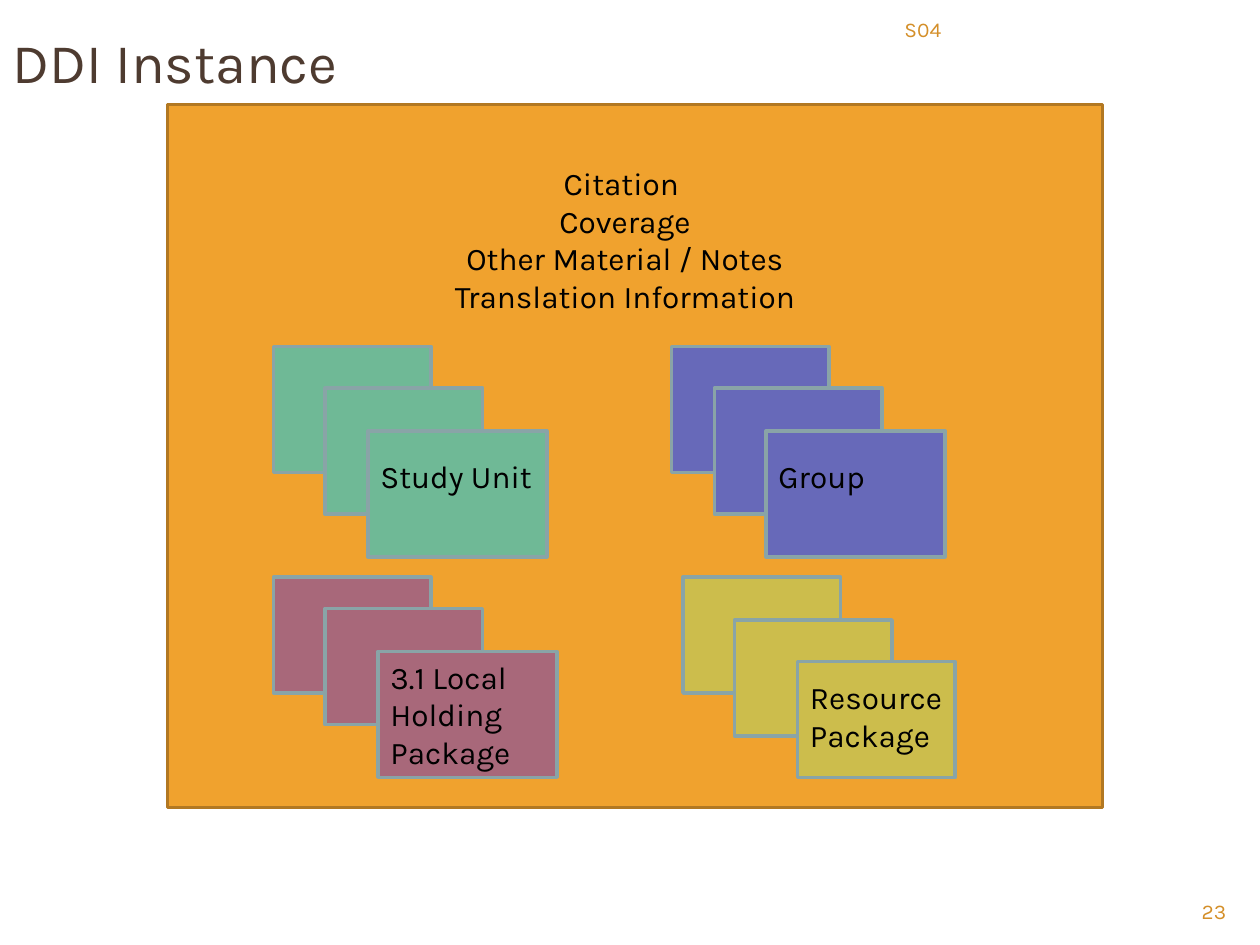
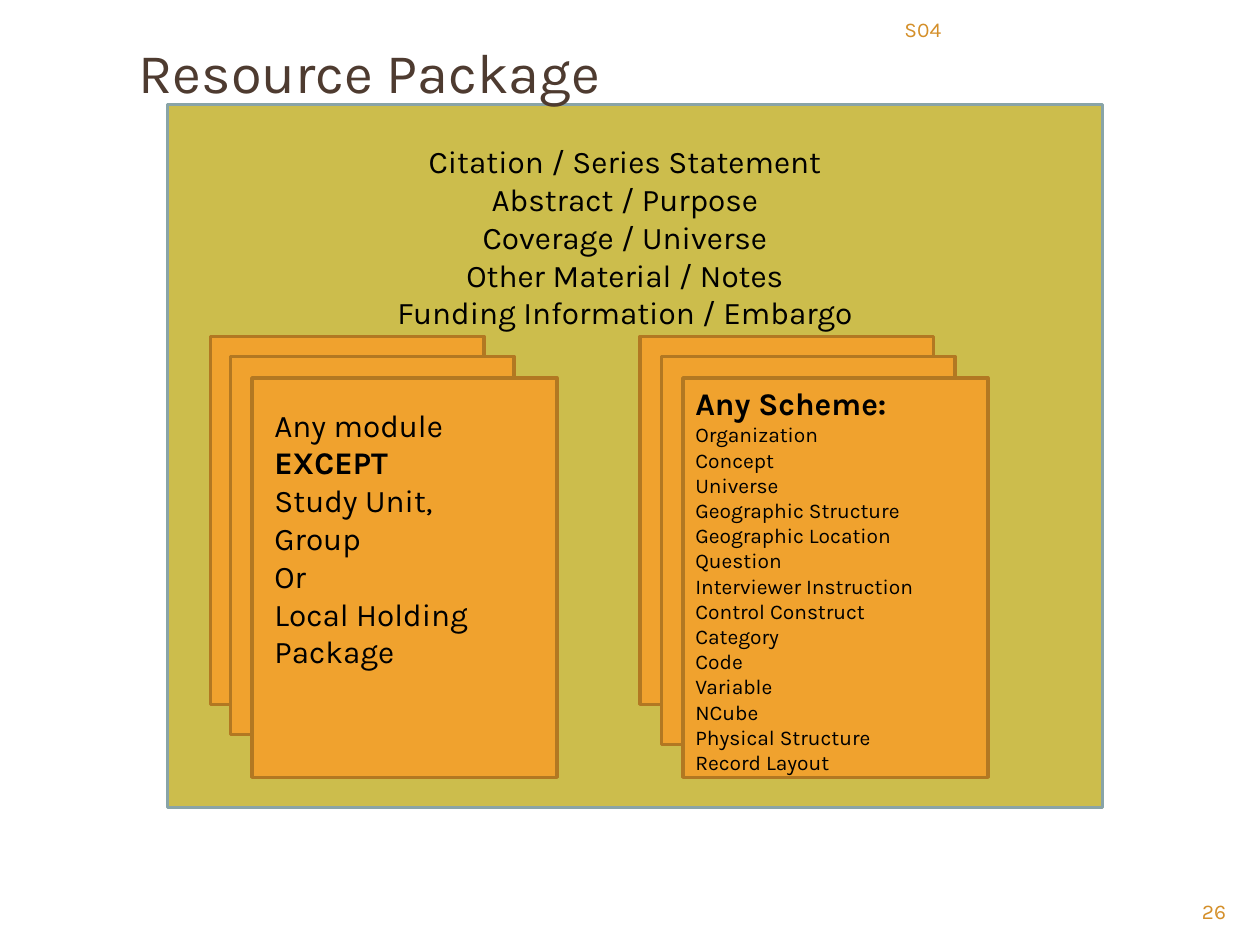
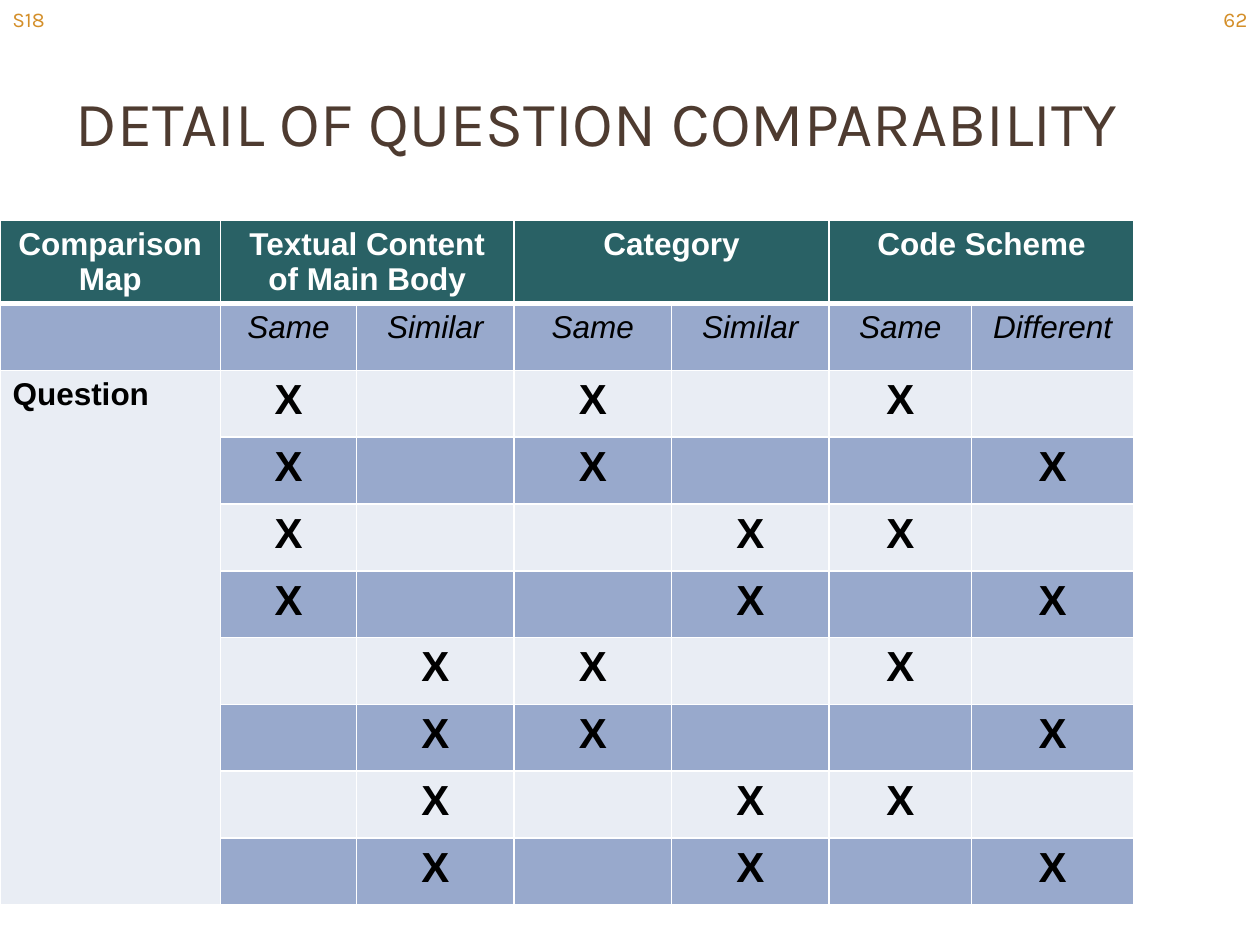
from itertools import product

from lxml import etree
from pptx import Presentation
from pptx import util as u
from pptx.dml.color import RGBColor
from pptx.enum import shapes, text
from pptx.oxml import ns

ORANGE, ORANGE_EDGE = "F0A22E", "B27822"
GREEN, BLUE, ROSE, OLIVE = "6FB996", "6769B9", "A8687A", "CCBD4C"
CARD_EDGE = "89A4A7"
BROWN, LABEL, BLACK, WHITE = "4E3B30", "D48F29", "000000", "FFFFFF"
TEAL, BAND_DARK, BAND_LIGHT = "296165", "98A9CC", "E9EDF4"
LEFT, CENTER, RIGHT = text.PP_ALIGN.LEFT, text.PP_ALIGN.CENTER, text.PP_ALIGN.RIGHT
TITLE_ONLY = 5
PANEL = (1.33, 0.83, 7.42, 5.58)


def rgb(value):
    return RGBColor.from_string(value)


def inches(values):
    return [u.Inches(value) for value in values]


def border_cell(cell, widths):
    """Draw white borders; widths are points for left, right, top, bottom."""
    props = cell._tc.get_or_add_tcPr()
    for side, width in zip("LRTB", widths):
        line = etree.SubElement(props, ns.qn(f"a:ln{side}"), w=str(u.Pt(width)))
        fill = etree.SubElement(line, ns.qn("a:solidFill"))
        etree.SubElement(fill, ns.qn("a:srgbClr"), val=WHITE)


class SlideBuilder:
    font = "Karla"

    def __init__(self):
        self.deck = Presentation()
        self.deck.slide_width, self.deck.slide_height = inches((10, 7.5))
        self.page = None

    def new_page(self):
        self.page = self.deck.slides.add_slide(self.deck.slide_layouts[TITLE_ONLY])

    def style(self, para, size, color, align=LEFT, bold=False, italic=False, font=None):
        para.alignment = align
        for span in para.runs:
            span.font.name = font or self.font
            span.font.size = u.Pt(size)
            span.font.bold, span.font.italic = bold, italic
            span.font.color.rgb = rgb(color)

    def title(self, words, at, size=32, anchor=text.MSO_ANCHOR.TOP):
        """Fill the title and bring it in front of what is already drawn."""
        box = self.page.shapes.title
        box.left, box.top, box.width, box.height = inches(at)
        frame = box.text_frame
        frame.text = words
        frame.auto_size = text.MSO_AUTO_SIZE.NONE
        frame.vertical_anchor = anchor
        self.style(frame.paragraphs[0], size, BROWN)
        box.element.getparent().append(box.element)

    def text(self, lines, at, size=18, color=BLACK, align=LEFT):
        box = self.page.shapes.add_textbox(*inches(at))
        frame = box.text_frame
        frame.word_wrap = True
        frame.text = "\n".join(lines)
        for para in frame.paragraphs:
            self.style(para, size, color, align)
        return frame.paragraphs

    def label(self, words, at, align=LEFT):
        self.text([words], at, 12, LABEL, align)

    def session_and_number(self, session, number):
        self.label(session, (7.08, 0.08, 2.75, 0.32))
        self.label(number, (9, 7.08, 0.83, 0.27), RIGHT)

    def rect(self, at, fill, edge):
        box = self.page.shapes.add_shape(shapes.MSO_SHAPE.RECTANGLE, *inches(at))
        box.shadow.inherit = False
        box.fill.solid()
        box.fill.fore_color.rgb = rgb(fill)
        box.line.color.rgb = rgb(edge)
        box.line.width = u.Pt(2)

    def stack(self, cards, fill, edge):
        for card in cards:
            self.rect(card, fill, edge)

    def table(self, at, widths, heights):
        grid = self.page.shapes.add_table(len(heights), len(widths), *inches(at)).table
        grid.first_row = grid.horz_banding = False
        for column, width in zip(grid.columns, widths):
            column.width = u.Inches(width)
        for row, height in zip(grid.rows, heights):
            row.height = u.Inches(height)
        return grid

    def cell(self, cell, words, fill, borders, **style):
        border_cell(cell, borders)
        cell.fill.solid()
        cell.fill.fore_color.rgb = rgb(fill)
        cell.text = words
        self.style(cell.text_frame.paragraphs[0], font="Arial", **style)


def build_instance(builder):
    builder.new_page()
    builder.rect(PANEL, ORANGE, ORANGE_EDGE)
    builder.session_and_number("S04", "23")
    builder.title("DDI Instance", (0, 0.17, 9, 6.4))
    builder.text(["Citation ", "Coverage", "Other Material / Notes", "Translation Information"],
                 (3.25, 1.25, 3.42, 1.31), align=CENTER)
    stacks = [
        ("Study Unit", (2.92, 3.58, 1.58, 0.4), GREEN,
         [(2.17, 2.75, 1.25, 1), (2.58, 3.08, 1.25, 1), (2.92, 3.42, 1.42, 1)]),
        ("Group", (6.08, 3.58, 1.42, 0.4), BLUE,
         [(5.33, 2.75, 1.25, 1), (5.67, 3.08, 1.33, 1), (6.08, 3.42, 1.42, 1)]),
        ("3.1 Local Holding Package", (3, 5.17, 1.33, 1), ROSE,
         [(2.17, 4.58, 1.25, 0.92), (2.58, 4.83, 1.25, 0.92), (3, 5.17, 1.42, 1)]),
        ("Resource Package", (6.33, 5.33, 1.58, 0.71), OLIVE,
         [(5.42, 4.58, 1.25, 0.92), (5.83, 4.92, 1.25, 0.92), (6.33, 5.25, 1.25, 0.92)]),
    ]
    for name, at, fill, cards in stacks:
        builder.stack(cards, fill, CARD_EDGE)
        builder.text([name], at)


def build_resource_package(builder):
    builder.new_page()
    builder.rect(PANEL, OLIVE, CARD_EDGE)
    builder.session_and_number("S04", "26")
    builder.title("Resource Package", (1, 0.25, 9, 6.33))

    modules = [(1.67, 2.67, 2.17, 2.92), (1.83, 2.83, 2.25, 3), (2, 3, 2.42, 3.17)]
    schemes = [(5.08, 2.67, 2.33, 2.92), (5.25, 2.83, 2.33, 3.08), (5.42, 3, 2.42, 3.17)]
    for cards in (modules, schemes):
        builder.stack(cards, ORANGE, ORANGE_EDGE)

    module_lines = builder.text(
        ["Any module", "EXCEPT", "Study Unit,", "Group", "Or", "Local Holding Package"],
        (2.08, 3.17, 2, 2.22))
    builder.style(module_lines[1], 18, BLACK, bold=True)
    scheme_lines = builder.text(
        ["Any Scheme:", "Organization", "Concept", "Universe",
         "Geographic Structure Geographic Location Question", "Interviewer Instruction",
         "Control Construct", "Category", "Code", "Variable", "NCube",
         "Physical Structure", "Record Layout"],
        (5.42, 3, 2.33, 3.23), size=12)
    builder.style(scheme_lines[0], 18, BLACK, bold=True)
    builder.text(["Citation / Series Statement", "Abstract / Purpose", "Coverage / Universe",
                  "Other Material / Notes", "Funding Information / Embargo"],
                 (1.92, 1.08, 6.08, 1.6), align=CENTER)


def build_comparability(builder):
    builder.new_page()
    builder.label("S18", (0, 0, 2.33, 0.52))
    builder.label("62", (7.67, 0, 2.33, 0.52), RIGHT)
    builder.title("DETAIL OF QUESTION COMPARABILITY", (0.5, 0.5, 9.5, 0.92), 36,
                  text.MSO_ANCHOR.MIDDLE)

    grid = builder.table((0, 1.75, 9, 5.42), (1.75, 1.08, 1.25, 1.25, 1.25, 1.13, 1.29),
                         [0.65] + [0.53] * 9)
    headings = ["Comparison Map", "Textual Content of Main Body", "", "Category", "",
                "Code Scheme", ""]
    answers = ["", "Same", "Similar", "Same", "Similar", "Same", "Different"]
    for column, (heading, answer) in enumerate(zip(headings, answers)):
        builder.cell(grid.cell(0, column), heading, TEAL, (1, 1, 1, 3),
                     size=18, color=WHITE, align=CENTER, bold=True)
        builder.cell(grid.cell(1, column), answer, BAND_DARK, (1, 1, 3, 1),
                     size=18, color=BLACK, align=CENTER, italic=True)

    # Each row is one combination of the two answers in the three column pairs.
    for row, choices in enumerate(product((0, 1), repeat=3), start=2):
        fill = BAND_DARK if row % 2 else BAND_LIGHT
        marked = [1 + 2 * pair + choice for pair, choice in enumerate(choices)]
        for column in range(1, 7):
            builder.cell(grid.cell(row, column), "X" if column in marked else "", fill,
                         (1, 1, 1, 1), size=24, color=BLACK, align=CENTER, bold=True)
        builder.cell(grid.cell(row, 0), "Question" if row == 2 else "", BAND_LIGHT,
                     (1, 1, 1, 1), size=18, color=BLACK, bold=True)

    for column in (1, 3, 5):
        grid.cell(0, column).merge(grid.cell(0, column + 1))
    grid.cell(2, 0).merge(grid.cell(9, 0))


def main():
    builder = SlideBuilder()
    build_instance(builder)
    build_resource_package(builder)
    build_comparability(builder)
    builder.deck.save("out.pptx")


if __name__ == "__main__":
    main()
